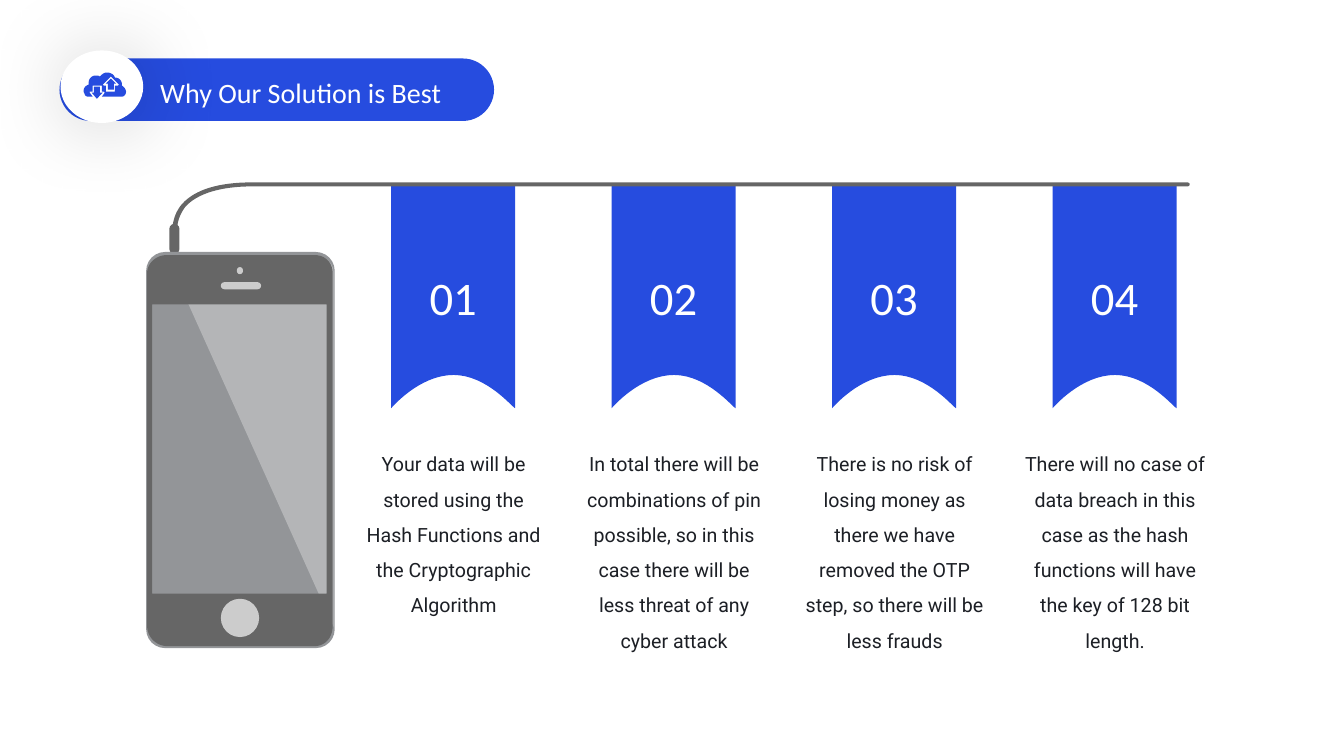
from dataclasses import dataclass

from lxml.etree import SubElement
from pptx import Presentation
from pptx.dml.color import RGBColor
from pptx.enum.shapes import MSO_SHAPE as Preset
from pptx.enum.text import MSO_ANCHOR as Anchor, MSO_AUTO_SIZE as AutoSize, PP_ALIGN as Align
from pptx.oxml.ns import qn
from pptx.util import Inches, Pt


@dataclass(frozen=True)
class Theme:
    blue: str = "264CDF"
    white: str = "FFFFFF"
    ink: str = "1C1F25"
    dark: str = "666666"
    mid: str = "939598"
    pale: str = "CCCCCC"
    heading: str = "Calibri"
    body: str = "Roboto"
    title_size: float = 20
    number_size: float = 33.3
    body_size: float = 14


THEME = Theme()
REASONS = (
    ("01", "Your data will be stored using the Hash Functions and the Cryptographic Algorithm"),
    ("02", "In total there will be combinations of pin possible, so in this case there will be "
           "less threat of any cyber attack"),
    ("03", "There is no risk of losing money as there we have removed the OTP step, "
           "so there will be less frauds"),
    ("04", "There will no case of data breach in this case as the hash functions will have "
           "the key of 128 bit length."),
)
FIRST_RIBBON, LAST_RIBBON = 3.88, 10.44
CABLE = [
    (2.5, 1.81), (2.17, 1.81, 1.94, 1.88, 1.81, 2.02), (1.73, 2.11, 1.72, 2.2, 1.71, 2.25),
    (1.71, 2.26, 1.72, 2.27, 1.74, 2.27), (1.75, 2.27, 1.76, 2.26, 1.76, 2.25),
    (1.76, 2.21, 1.78, 2.13, 1.84, 2.05), (1.96, 1.92, 2.19, 1.85, 2.5, 1.85),
    (11.77, 1.85), (11.79, 1.85, 11.8, 1.84, 11.8, 1.83), (11.8, 1.82, 11.79, 1.81, 11.77, 1.81),
]
GLARE = [(1.65, 2.53), (3.31, 6.22), (3.31, 2.71), (3.31, 2.61, 3.22, 2.53, 3.12, 2.53)]
SCREEN = [(3.24, 3.02), (3.24, 5.89), (1.51, 5.89), (1.51, 3.02)]
FRAME = [
    (1.66, 2.53), (1.55, 2.53, 1.46, 2.61, 1.46, 2.71), (1.46, 6.21),
    (1.46, 6.32, 1.55, 6.41, 1.66, 6.41), (3.12, 6.41), (3.23, 6.41, 3.3, 6.32, 3.3, 6.21),
    (3.3, 2.71), (3.3, 2.61, 3.23, 2.53, 3.12, 2.53),
]
DOWN_ARROW = [(0.93, 0.86), (0.99, 0.86), (0.99, 0.92), (1.02, 0.92), (0.96, 0.98),
              (0.91, 0.92), (0.93, 0.92)]
UP_ARROW = [(1.1, 0.78), (1.15, 0.83), (1.13, 0.83), (1.13, 0.89), (1.07, 0.89),
            (1.07, 0.83), (1.05, 0.83)]
UP_ARROW_RIM = [(1.1, 0.76), (1.02, 0.84), (1.03, 0.85), (1.05, 0.85), (1.05, 0.91),
                (1.14, 0.91), (1.14, 0.85), (1.17, 0.85), (1.18, 0.84)]
CLOUD = [
    (1.06, 0.72), (1.1, 0.72, 1.13, 0.74, 1.14, 0.77), (1.18, 0.77, 1.21, 0.8, 1.21, 0.84),
    (1.21, 0.85), (1.23, 0.86, 1.25, 0.89, 1.25, 0.91), (1.25, 0.94, 1.23, 0.96, 1.2, 0.96),
    (1.01, 0.96), (1.04, 0.92), (1.03, 0.91), (1.01, 0.91), (1.01, 0.85), (0.92, 0.85),
    (0.92, 0.91), (0.89, 0.91), (0.89, 0.92), (0.92, 0.96), (0.88, 0.96),
    (0.86, 0.96, 0.84, 0.95, 0.84, 0.93), (0.83, 0.92, 0.83, 0.91, 0.83, 0.9),
    (0.83, 0.87, 0.85, 0.85, 0.88, 0.84), (0.88, 0.82), (0.88, 0.78, 0.91, 0.75, 0.95, 0.75),
    (0.97, 0.75, 0.98, 0.75, 0.99, 0.76), (1.01, 0.74, 1.03, 0.72, 1.06, 0.72),
]


def flatten(contour, steps=16):
    """Turn a contour of points and cubic curves into points in EMU."""
    points = [contour[0]]
    for segment in contour[1:]:
        if len(segment) == 2:
            points.append(segment)
            continue
        controls = (points[-1], segment[:2], segment[2:4], segment[4:])
        for step in range(1, steps + 1):
            t = step / steps
            weights = ((1 - t) ** 3, 3 * t * (1 - t) ** 2, 3 * t * t * (1 - t), t ** 3)
            points.append(tuple(sum(w * c[axis] for w, c in zip(weights, controls))
                                for axis in (0, 1)))
    return [(Inches(x), Inches(y)) for x, y in points]


def paint(shape, color):
    """Give a shape a plain fill with no line and no shadow."""
    shape.fill.solid()
    shape.fill.fore_color.rgb = RGBColor.from_string(color)
    shape.line.fill.background()
    shape.shadow.inherit = False
    return shape


def add_outline(shapes, color, *contours):
    """Add a filled outline; inner contours become holes."""
    first, *others = map(flatten, contours)
    builder = shapes.build_freeform(*first[0], scale=1.0)
    builder.add_line_segments(first[1:], close=True)
    for points in others:
        builder.move_to(*points[0])
        builder.add_line_segments(points[1:], close=True)
    return paint(builder.convert_to_shape(), color)


def add_preset(shapes, preset, place, color, rounding=None):
    """Add a filled preset shape."""
    shape = shapes.add_shape(preset, *map(Inches, place))
    if rounding is not None:
        shape.adjustments[0] = rounding
    return paint(shape, color)


def write(frame, text, frame_format, para_format, font_format, color):
    """Write one formatted paragraph into a text frame."""
    para = frame.paragraphs[0]
    span = para.add_run()
    span.text = text
    for target, values in ((frame, frame_format), (para, para_format), (span.font, font_format)):
        for name, value in values.items():
            setattr(target, name, value)
    span.font.color.rgb = RGBColor.from_string(color)


def insets(size):
    """Return equal margins for a text frame."""
    return {f"margin_{side}": Inches(size) for side in ("left", "top", "right", "bottom")}


def add_phone(shapes):
    """Draw the phone with its plug and cable."""
    add_preset(shapes, Preset.ROUNDED_RECTANGLE, (1.68, 2.22, 0.1, 0.3), THEME.dark, 0.5)
    add_outline(shapes, THEME.dark, CABLE)
    add_preset(shapes, Preset.ROUNDED_RECTANGLE, (1.45, 2.5, 1.87, 3.93), THEME.mid, 0.1)
    glare = add_outline(shapes, THEME.white, GLARE)
    tint = glare._element.spPr.find(".//" + qn("a:srgbClr"))
    SubElement(tint, qn("a:alpha"), val="31000")
    add_outline(shapes, THEME.dark, FRAME, SCREEN)
    for place in ((2.19, 2.8, 0.4, 0.07), (2.35, 2.65, 0.06, 0.07)):
        add_preset(shapes, Preset.ROUNDED_RECTANGLE, place, THEME.pale, 0.5)
    add_preset(shapes, Preset.OVAL, (2.19, 5.94, 0.38, 0.38), THEME.pale)


def add_reason(shapes, left, number, text):
    """Hang a numbered ribbon and set its explanation below."""
    right, middle = left + 1.23, left + 0.62
    ribbon = add_outline(shapes, THEME.blue, [
        (left, 1.83), (left, 4.05), (left + 0.01, 4.04, left + 0.28, 3.72, middle, 3.72),
        (left + 0.95, 3.72, right - 0.02, 4.05, right, 4.05), (right, 1.83)])
    write(ribbon.text_frame, number, {"vertical_anchor": Anchor.MIDDLE, **insets(0.13)},
          {"alignment": Align.CENTER},
          {"name": THEME.heading, "size": Pt(THEME.number_size)}, THEME.white)
    box = shapes.add_textbox(*map(Inches, (left - 0.32, 4.37, 1.88, 2.08)))
    write(box.text_frame, text,
          {"word_wrap": True, "auto_size": AutoSize.SHAPE_TO_FIT_TEXT, **insets(0)},
          {"alignment": Align.CENTER, "line_spacing": 1.5},
          {"name": THEME.body, "size": Pt(THEME.body_size)}, THEME.ink)


def add_header(shapes):
    """Draw the title pill with its cloud badge."""
    add_preset(shapes, Preset.ROUNDED_RECTANGLE, (0.59, 0.58, 4.31, 0.62), THEME.blue, 0.5)
    badge = add_preset(shapes, Preset.OVAL, (0.6, 0.5, 0.82, 0.72), THEME.white)
    shadow = SubElement(badge._element.spPr.find(qn("a:effectLst")), qn("a:outerShdw"),
                        blurRad=str(Pt(59)), dist=str(Pt(3)), dir="2700000", rotWithShape="0")
    SubElement(SubElement(shadow, qn("a:srgbClr"), val="000000"), qn("a:alpha"), val="20000")
    title = shapes.add_textbox(*map(Inches, (1.49, 0.7, 3.03, 0.44)))
    write(title.text_frame, "Why Our Solution is Best",
          {"word_wrap": True, "auto_size": AutoSize.SHAPE_TO_FIT_TEXT},
          {"alignment": Align.JUSTIFY},
          {"name": THEME.heading, "size": Pt(THEME.title_size)}, THEME.white)
    add_outline(shapes, THEME.blue, CLOUD, UP_ARROW_RIM, UP_ARROW, DOWN_ARROW)


def main():
    """Build the slide and save it."""
    deck = Presentation()
    deck.slide_width, deck.slide_height = Inches(13.33), Inches(7.5)
    page = deck.slides.add_slide(deck.slide_layouts[6])
    pitch = (LAST_RIBBON - FIRST_RIBBON) / (len(REASONS) - 1)
    for index, (number, text) in enumerate(REASONS):
        add_reason(page.shapes, FIRST_RIBBON + index * pitch, number, text)
    add_phone(page.shapes)
    add_header(page.shapes.add_group_shape().shapes)
    deck.save("out.pptx")


if __name__ == "__main__":
    main()
